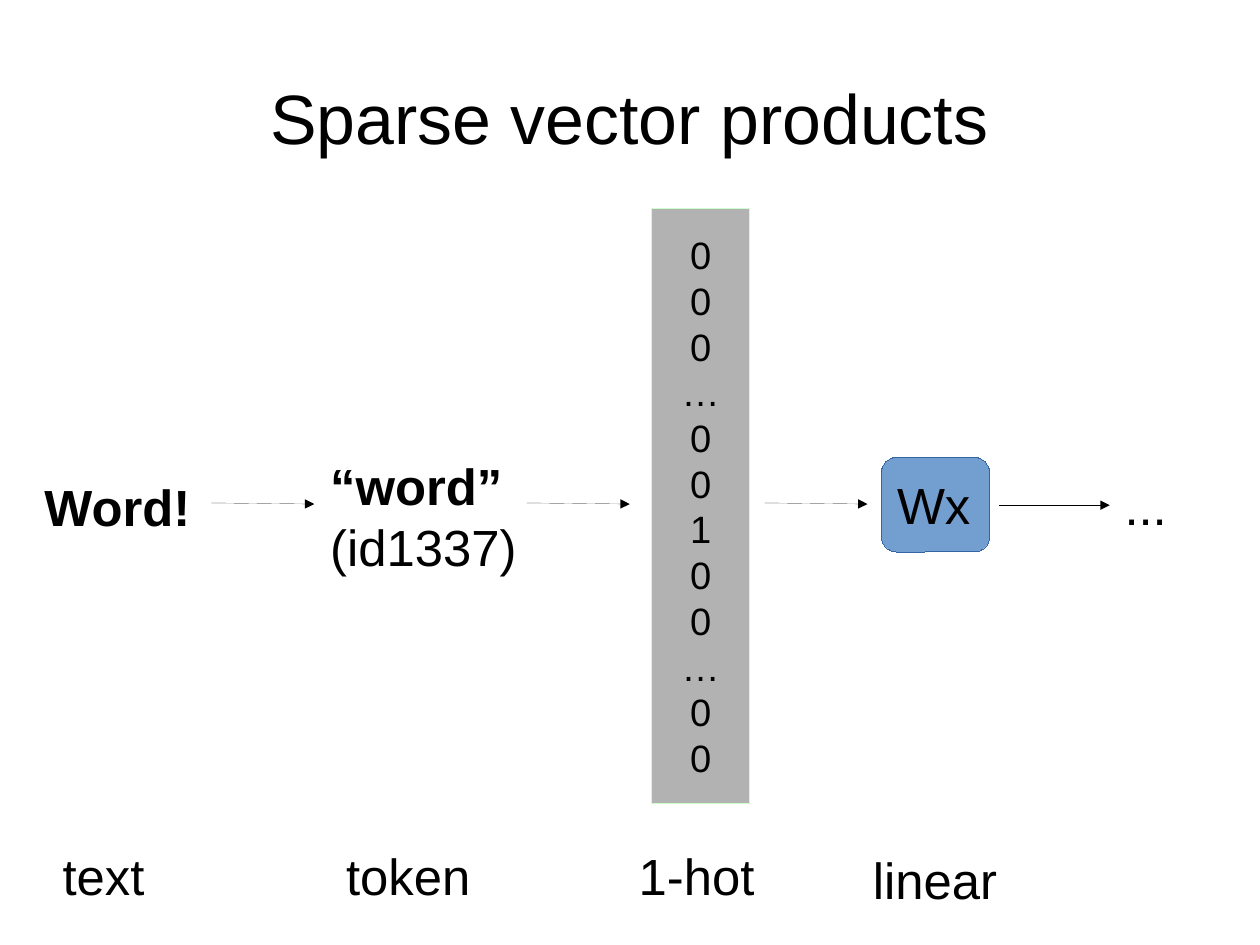
from lxml import etree
from pptx import Presentation
from pptx.dml.color import RGBColor
from pptx.enum.shapes import MSO_CONNECTOR, MSO_SHAPE
from pptx.enum.text import MSO_ANCHOR, PP_ALIGN
from pptx.oxml.ns import qn
from pptx.util import Inches, Pt

STRAIGHT = MSO_CONNECTOR.STRAIGHT
RECTANGLE = MSO_SHAPE.RECTANGLE
ROUNDED = MSO_SHAPE.ROUNDED_RECTANGLE
TOP, MIDDLE = MSO_ANCHOR.TOP, MSO_ANCHOR.MIDDLE
LEFT, CENTER = PP_ALIGN.LEFT, PP_ALIGN.CENTER

FONT = "Arial"
BLACK = "000000"
ONE_HOT = ["0", "0", "0", "…", "0", "0", "1", "0", "0", "…", "0", "0"]


def color(hex_string):
    """Return the colour for a hex string."""
    return RGBColor.from_string(hex_string)


def millimetres(length):
    """Return a whole number of millimetres as an exact length."""
    return Inches(length * 10) // 254


def write_lines(frame, lines, size, align, bold_first=False):
    """Write one paragraph per line, the first optionally bold."""
    for index, line in enumerate(lines):
        paragraph = frame.paragraphs[0] if index == 0 else frame.add_paragraph()
        paragraph.text = line
        paragraph.alignment = align
        font = paragraph.font
        font.name, font.size = FONT, Pt(size)
        font.bold = bold_first and index == 0
        font.color.rgb = color(BLACK)


def set_hairline(shape, hex_string):
    """Give a shape or connector a line of zero width and return its XML."""
    shape.line.color.rgb = color(hex_string)
    line = shape.element.spPr.find(qn("a:ln"))
    line.set("w", "0")
    return line


def add_label(slide, box, lines, size=32, align=LEFT, bold_first=False, anchor=TOP):
    """Add a wrapping text box and return its text frame."""
    frame = slide.shapes.add_textbox(*map(Inches, box)).text_frame
    frame.word_wrap = True
    frame.vertical_anchor = anchor
    write_lines(frame, lines, size, align, bold_first)
    return frame


def add_block(slide, preset, box, fill, outline, lines, size, align):
    """Add a filled shape with centred, unwrapped text."""
    shape = slide.shapes.add_shape(preset, *map(Inches, box))
    shape.shadow.inherit = False
    shape.fill.solid()
    shape.fill.fore_color.rgb = color(fill)
    set_hairline(shape, outline)
    frame = shape.text_frame
    frame.word_wrap = False
    frame.vertical_anchor = MIDDLE
    write_lines(frame, lines, size, align)


def add_arrow(slide, left, top, right, bottom):
    """Add a hairline arrow pointing to its right end."""
    ends = map(Inches, (left, top, right, bottom))
    connector = slide.shapes.add_connector(STRAIGHT, *ends)
    line = set_hairline(connector, BLACK)
    etree.SubElement(line, qn("a:tailEnd"), type="triangle")
    etree.SubElement(connector.element.spPr, qn("a:effectLst"))


def main():
    """Build the slide and save it."""
    presentation = Presentation()
    presentation.slide_width = millimetres(280)
    presentation.slide_height = millimetres(210)
    slide = presentation.slides.add_slide(presentation.slide_layouts[6])

    title = add_label(slide, (0.55, 0.33, 9.92, 1.38), ["Sparse vector products"],
                      size=44, align=CENTER, anchor=MIDDLE)
    title.margin_left = title.margin_right = 0
    title.margin_top = title.margin_bottom = 0

    add_label(slide, (0.29, 4.11, 1.75, 0.6), ["Word!"], bold_first=True)
    add_label(slide, (2.79, 3.93, 2.13, 1.1), ["“word”", "(id1337)"], bold_first=True)
    add_block(slide, RECTANGLE, (5.7, 1.82, 0.86, 5.21), "B2B2B2", "CCFFCC",
              ONE_HOT, 24, CENTER)
    add_block(slide, ROUNDED, (7.71, 4, 0.95, 0.83), "729FCF", "3465A4",
              ["Wx"], 32, LEFT)
    add_label(slide, (9.74, 4.1, 0.84, 0.6), ["..."])

    for left in (1.85, 4.61, 6.69):
        add_arrow(slide, left, 4.4, left + 0.9, 4.41)
    add_arrow(slide, 8.74, 4.42, 9.71, 4.42)

    for left, stage in ((0.45, "text"), (2.93, "token"), (5.49, "1-hot")):
        add_label(slide, (left, 7.34, 1.33, 0.69), [stage])
    add_label(slide, (6.62, 7.38, 3.12, 0.69), ["linear"], align=CENTER)

    presentation.save("out.pptx")


if __name__ == "__main__":
    main()
